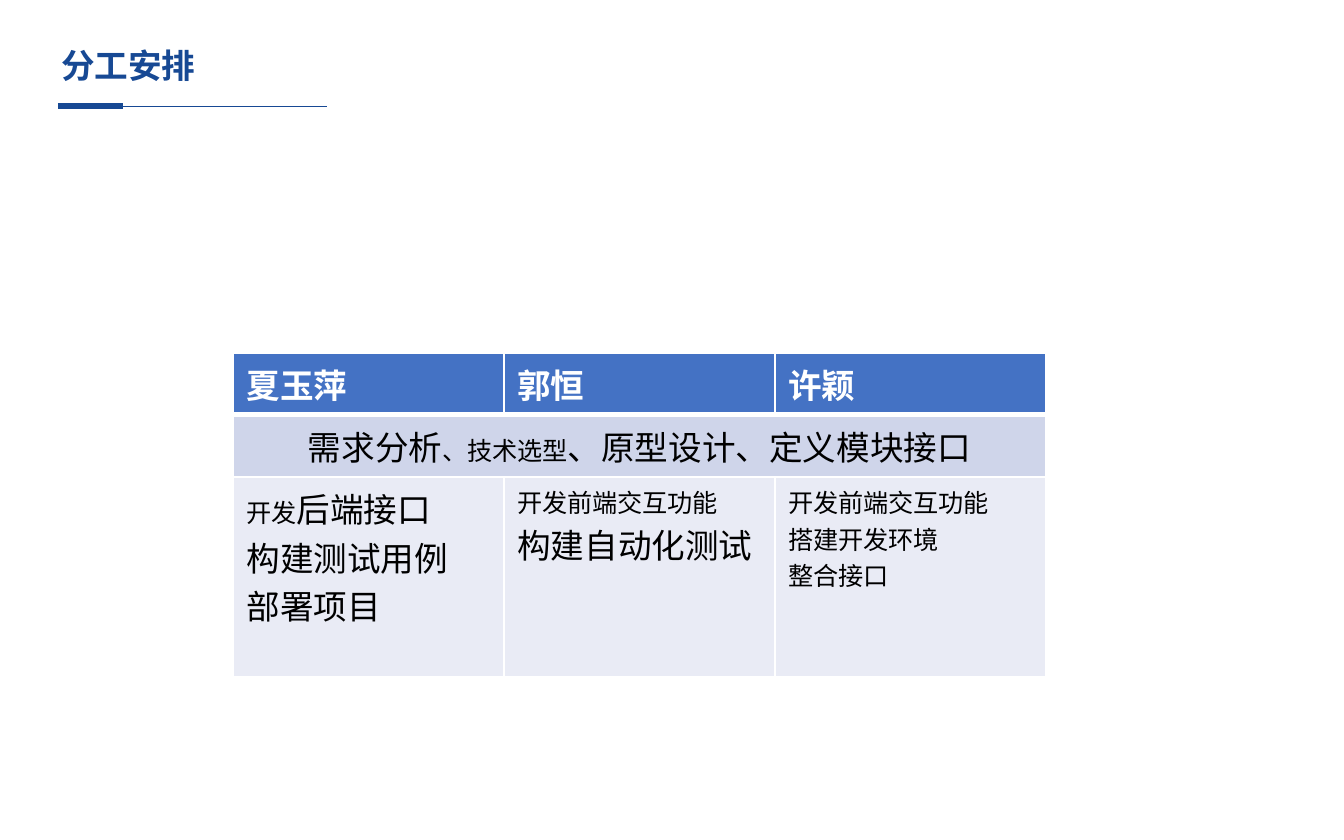
from dataclasses import dataclass

from lxml import etree
from pptx import Presentation
from pptx.dml.color import RGBColor
from pptx.enum.shapes import MSO_CONNECTOR
from pptx.enum.text import MSO_ANCHOR, PP_ALIGN
from pptx.oxml.ns import qn
from pptx.util import Pt

STRAIGHT = MSO_CONNECTOR.STRAIGHT
MIDDLE = MSO_ANCHOR.MIDDLE
CENTER, LEFT = PP_ALIGN.CENTER, PP_ALIGN.LEFT
EMU_PER_PX = 914400 / 134.4


@dataclass(frozen=True)
class Theme:
    navy: str = "174994"
    header: str = "4472C4"
    shared: str = "CFD5EA"
    tasks: str = "E9EBF5"
    white: str = "FFFFFF"
    black: str = "000000"
    title_font: str = "Arial"
    table_font: str = "Calibri"
    large: float = 18
    small: float = 13.5


theme = Theme()


def px(count):
    return round(count * EMU_PER_PX)


def add_border(cell, side, points):
    """Draw a white border on one side: L, R, T or B."""
    line = etree.SubElement(cell._tc.get_or_add_tcPr(), qn(f"a:ln{side}"), w=str(Pt(points)))
    paint = etree.SubElement(line, qn("a:solidFill"))
    etree.SubElement(paint, qn("a:srgbClr"), val=theme.white)


prs = Presentation()
prs.slide_width, prs.slide_height = px(1344), px(840)
slide = prs.slides.add_slide(prs.slide_layouts[6])

# Title with its thin rule and thick accent
for right, weight in ((327, 0.5), (123, 3)):
    rule = slide.shapes.add_connector(STRAIGHT, px(58), px(106), px(right), px(106))
    rule.line.color.rgb = RGBColor.from_string(theme.navy)
    rule.line.width = Pt(weight)
    etree.SubElement(rule._element.spPr, qn("a:effectLst"))

title = slide.shapes.add_textbox(px(48), px(30), px(999), px(75)).text_frame
title.word_wrap = True
title.vertical_anchor = MIDDLE
heading = title.paragraphs[0]
heading.text = "分工安排"
heading.line_spacing = 0.9
heading.font.name = theme.title_font
heading.font.size = Pt(theme.large)
heading.font.bold = True
heading.font.color.rgb = RGBColor.from_string(theme.navy)

# Each cell is a list of paragraphs, each paragraph a list of (text, size)
L, S = theme.large, theme.small
members = [[[(name, L)]] for name in ("夏玉萍", "郭恒", "许颖")]
shared_work = [[("需求分析", L), ("、技术选型", S), ("、原型设计、定义模块接口", L)]]
own_work = [
    [[("开发", S), ("后端接口", L)], [("构建测试用例", L)], [("部署项目", L)]],
    [[("开发前端交互功能", S)], [("构建自动化测试", L)]],
    [[("开发前端交互功能", S)], [("搭建开发环境", S)], [("整合接口", S)]],
]
# Cells, row height, fill, text colour, bold, alignment
rows = (
    (members, 62, theme.header, theme.white, True, LEFT),
    ([shared_work, None, None], 62, theme.shared, theme.black, False, CENTER),
    (own_work, 200, theme.tasks, theme.black, False, LEFT),
)

table = slide.shapes.add_table(3, 3, px(233), px(353), px(813), px(324)).table
for column in table.columns:
    column.width = px(271)
table.cell(1, 0).merge(table.cell(1, 2))
table.cell(1, 0).vertical_anchor = MIDDLE

for r, (cells, height, fill, color, bold, align) in enumerate(rows):
    table.rows[r].height = px(height)
    for c, paragraphs in enumerate(cells):
        cell = table.cell(r, c)
        for side in "LRTB":
            under_header = (r, side) in ((0, "B"), (1, "T"))
            add_border(cell, side, 3 if under_header else 1)
        cell.fill.solid()
        cell.fill.fore_color.rgb = RGBColor.from_string(fill)
        for i, runs in enumerate(paragraphs or []):
            frame = cell.text_frame
            paragraph = frame.add_paragraph() if i else frame.paragraphs[0]
            paragraph.alignment = align
            paragraph.font.name = theme.table_font
            paragraph.font.bold = bold
            paragraph.font.color.rgb = RGBColor.from_string(color)
            for text, size in runs:
                run = paragraph.add_run()
                run.text = text
                run.font.size = Pt(size)

prs.save("out.pptx")
